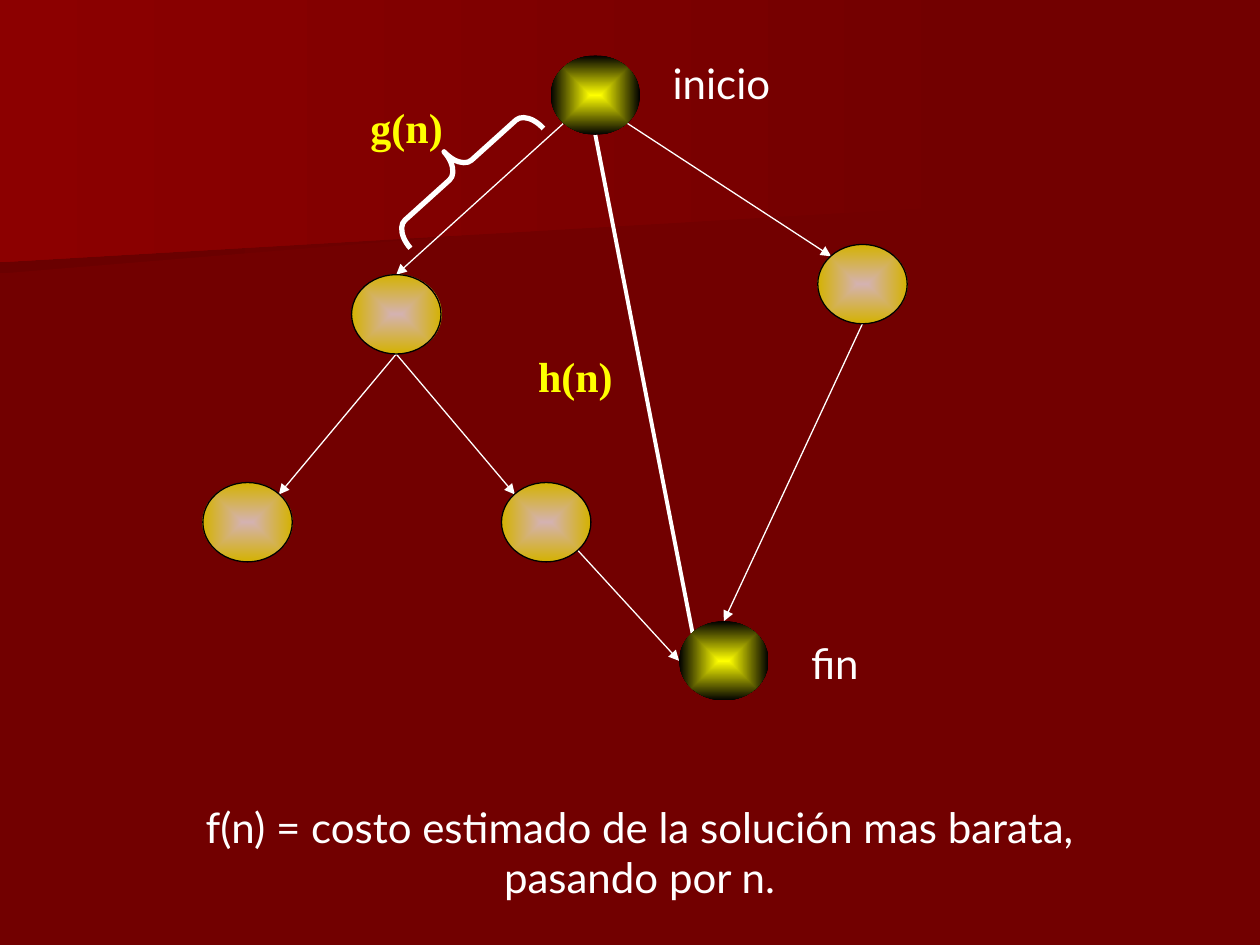
from lxml import etree
from pptx import Presentation, util as u
from pptx.dml.color import RGBColor
from pptx.enum import shapes, text
from pptx.oxml.ns import qn

PX = 9144
HUE = {"base": "720000", "dark": "6A0000", "red": "8C0000", "white": "FFFFFF",
       "gold": "FFFF00", "black": "000000"}
DIAG = 0.35
SPOT = {"top": (0, -0.5), "left": (-0.5, 0), "foot": (0, 0.5), "nw": (-DIAG, -DIAG),
        "ne": (DIAG, -DIAG), "sw": (-DIAG, DIAG), "se": (DIAG, DIAG)}
SIZE = (71, 63)
NODES = {"start": (437, 44, True), "right": (649, 194, False), "goal": (539, 493, True),
         "mid": (279, 218, False), "low": (161, 383, False), "next": (398, 383, False)}
EDGES = [("start", "sw", "mid", "top"), ("start", "se", "right", "nw"),
         ("right", "foot", "goal", "top"), ("mid", "foot", "low", "ne"),
         ("mid", "foot", "next", "nw"), ("next", "se", "goal", "left")]


def emu(*vals):
    """Turn px into EMU."""
    return [u.Emu(round(v * PX)) for v in vals]


def rgb(name):
    """Look up a colour."""
    return RGBColor.from_string(HUE[name])


def blend(shape, first, last, angle=0, alpha=None, rect=False):
    """Fill a shape with a two-stop gradient, linear or from its centre."""
    fill = shape.fill
    fill.gradient()
    fill.gradient_angle = angle
    for stop, name, pos in zip(fill.gradient_stops, (first, last), (0, 1)):
        stop.color.rgb = rgb(name)
        stop.position = pos
    grad = shape._element.spPr.find(qn("a:gradFill"))
    if alpha:
        for clr in grad.iter(qn("a:srgbClr")):
            etree.SubElement(clr, qn("a:alpha"), val=str(alpha * 1000))
    if rect:
        grad.remove(grad.find(qn("a:lin")))
        way = etree.SubElement(grad, qn("a:path"), path="rect")
        etree.SubElement(way, qn("a:fillToRect"), {side: "50000" for side in "ltrb"})


def band(slide, points, last):
    """Draw one backdrop band."""
    build = slide.shapes.build_freeform(*points[0], scale=PX)
    build.add_line_segments(points[1:], close=True)
    shape = build.convert_to_shape()
    shape.shadow.inherit = False
    shape.line.fill.background()
    blend(shape, "base", last, angle=180)


def backdrop(slide):
    """Colour the slide and lay the two bands."""
    slide.background.fill.solid()
    slide.background.fill.fore_color.rgb = rgb("base")
    band(slide, [(778, 153), (0, 217), (0, 101), (779, 101)], "dark")
    band(slide, [(792, 162), (0, 208), (0, 0), (792, 0)], "red")


def node(slide, x, y, main):
    """Draw a graph node, glowing if it is an end of the path."""
    shape = slide.shapes.add_shape(shapes.MSO_SHAPE.OVAL, *emu(x, y, *SIZE))
    shape.shadow.inherit = False
    if main:
        blend(shape, "gold", "black", rect=True)
        shape.line.fill.background()
    else:
        blend(shape, "white", "gold", alpha=70, rect=True)
        shape.line.color.rgb = rgb("black")
        shape.line.width = u.Pt(0.75)


def site(name, spot):
    """Find a point on the rim of a node."""
    x, y, _ = NODES[name]
    dx, dy = SPOT[spot]
    return x + SIZE[0] * (0.5 + dx), y + SIZE[1] * (0.5 + dy)


def edge(slide, tail, out, head, inn, width=0.75, arrow=True):
    """Join two nodes with a line."""
    line = slide.shapes.add_connector(
        shapes.MSO_CONNECTOR.STRAIGHT, *emu(*site(tail, out), *site(head, inn)))
    line.line.color.rgb = rgb("white")
    line.line.width = u.Pt(width)
    if arrow:
        etree.SubElement(line.line._get_or_add_ln(), qn("a:tailEnd"), type="triangle")
    etree.SubElement(line._element.spPr, qn("a:effectLst"))


def brace(slide, box):
    """Draw the slanted brace over the first step."""
    shape = slide.shapes.add_shape(shapes.MSO_SHAPE.LEFT_BRACE, *emu(*box))
    shape.shadow.inherit = False
    shape.adjustments[0] = 0.3
    shape.rotation = 48
    shape.fill.background()
    shape.line.color.rgb = rgb("white")
    shape.line.width = u.Pt(3)


def graph(slide):
    """Draw the edges, nodes and brace."""
    for join in EDGES:
        edge(slide, *join)
    edge(slide, "start", "foot", "goal", "nw", width=2.25, arrow=False)
    for spec in NODES.values():
        node(slide, *spec)
    brace(slide, (346, 64, 39, 142))


def label(slide, box, words, cost=False, align=text.PP_ALIGN.LEFT):
    """Write a plain label or a bold cost name."""
    frame = slide.shapes.add_textbox(*emu(*box)).text_frame
    frame.word_wrap = not cost
    para = frame.paragraphs[0]
    para.text = words
    para.alignment = align
    font = para.font
    font.size = u.Pt(24)
    font.bold = cost
    font.name = "Times New Roman" if cost else "Lato"
    font.color.rgb = rgb("gold" if cost else "white")
    if cost:
        frame.margin_left, frame.margin_right = emu(7, 0)
    else:
        para.space_before = u.Pt(15)
        frame.auto_size = text.MSO_AUTO_SIZE.SHAPE_TO_FIT_TEXT


def main():
    """Build and save the slide."""
    deck = Presentation()
    deck.slide_width, deck.slide_height = emu(1000, 750)
    slide = deck.slides.add_slide(deck.slide_layouts[6])
    backdrop(slide)
    graph(slide)
    label(slide, (524, 41, 118, 50), "inicio")
    label(slide, (634, 501, 87, 50), "fin")
    label(slide, (287, 76, 71, 39), "g(n)", cost=True)
    label(slide, (420, 273, 71, 39), "h(n)", cost=True)
    label(slide, (90, 631, 835, 90),
          "f(n) = costo estimado de la solución mas barata, pasando por n.",
          align=text.PP_ALIGN.CENTER)
    deck.save("out.pptx")


if __name__ == "__main__":
    main()
